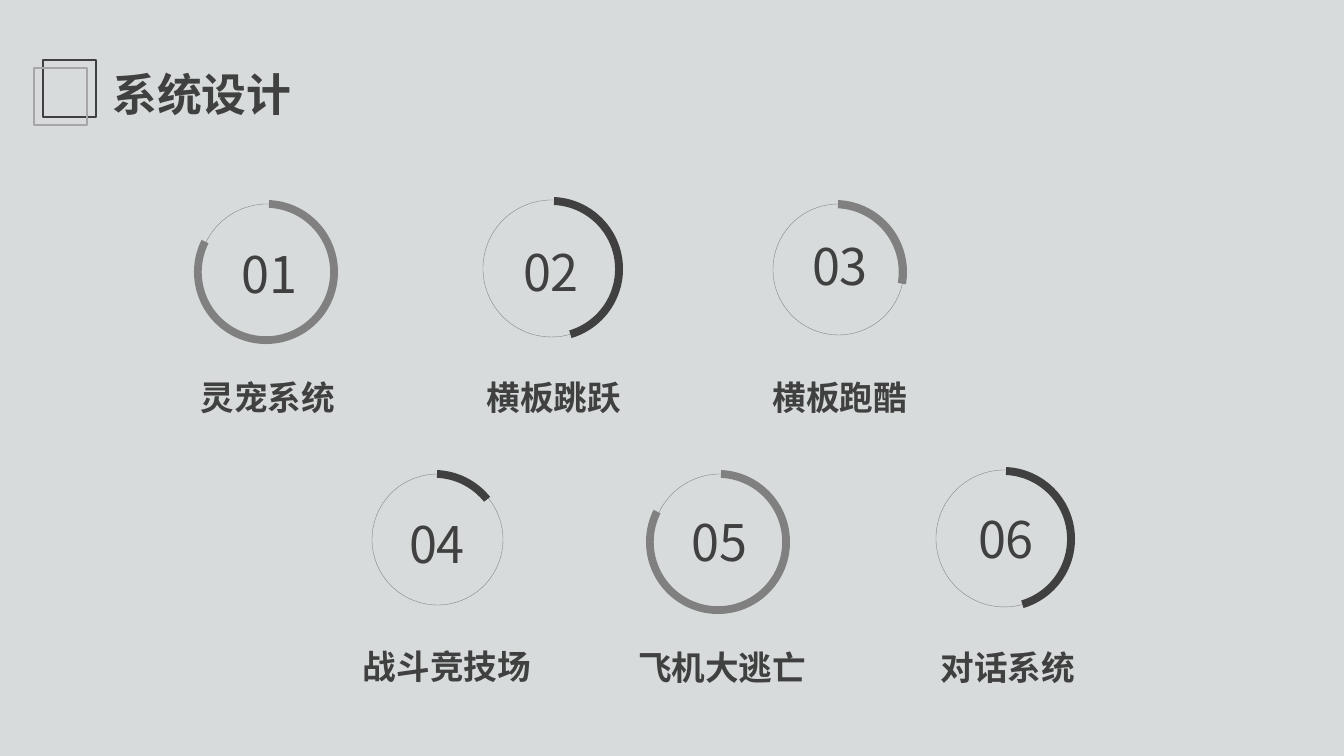
from pptx import Presentation
from pptx.dml.color import RGBColor
from pptx.enum.shapes import MSO_SHAPE
from pptx.enum.text import MSO_AUTO_SIZE, PP_ALIGN
from pptx.util import Emu, Pt

RECTANGLE = MSO_SHAPE.RECTANGLE
OVAL = MSO_SHAPE.OVAL
BLOCK_ARC = MSO_SHAPE.BLOCK_ARC
GROW = MSO_AUTO_SIZE.SHAPE_TO_FIT_TEXT
CENTER = PP_ALIGN.CENTER

SCALE = 914400 / 100.8
DARK, GRAY, LIGHT, BACKDROP = "404040", "808080", "A6A6A6", "D7DBDC"
LABEL_FONT, NUMBER_FONT = "Arial Narrow", "Noto Sans CJK SC"
ARC_SIZE, ARC_START, ARC_TURN = 144, 181.54, 330

# number, label, arc (left, top, end, thickness, colour), ring (left, top, size),
# number box (left, top, width), label box (left, top)
SYSTEMS = [
    ("01", "灵宠系统", (194, 200, 141.91, 0.054, GRAY), (199, 204, 137), (199, 238, 141), (140, 372)),
    ("02", " 横板跳跃", (479, 197, 62.08, 0.055, DARK), (483, 200, 137), (498, 236, 106), (422, 372)),
    ("03", "横板跑酷", (763, 200, 23.91, 0.057, GRAY), (773, 204, 131), (787, 230, 106), (712, 372)),
    ("04", "战斗竞技场", (362, 470, 210.72, 0.054, DARK), (372, 474, 131), (384, 508, 106), (319, 641)),
    ("05", "飞机大逃亡", (646, 470, 141.91, 0.054, GRAY), (652, 474, 137), (649, 506, 141), (594, 642)),
    ("06", " 对话系统", (931, 467, 62.08, 0.055, DARK), (936, 470, 137), (953, 503, 106), (876, 642)),
]


def px(length):
    """Turn pixels into EMU."""
    return Emu(round(length * SCALE))


def color(value):
    """Turn a hex string into a colour."""
    return RGBColor.from_string(value)


def add_figure(page, kind, left, top, width, height, fill=None, line=None, weight=1):
    """Add a preset shape with an optional fill and outline."""
    figure = page.shapes.add_shape(kind, px(left), px(top), px(width), px(height))
    figure.shadow.inherit = False
    if fill:
        figure.fill.solid()
        figure.fill.fore_color.rgb = color(fill)
    else:
        figure.fill.background()
    if line:
        figure.line.color.rgb = color(line)
        figure.line.width = Pt(weight)
    else:
        figure.line.fill.background()
    return figure


def add_text(page, text, left, top, width, height, size, font, bold=False):
    """Add a centred one-line text box."""
    box = page.shapes.add_textbox(px(left), px(top), px(width), px(height))
    frame = box.text_frame
    frame.word_wrap = True
    frame.auto_size = GROW
    para = frame.paragraphs[0]
    para.alignment = CENTER
    span = para.add_run()
    span.text = text
    span.font.size = Pt(size)
    span.font.name = font
    span.font.bold = bold
    span.font.color.rgb = color(DARK)


def add_arc(page, left, top, end, thickness, fill):
    """Add the thick progress arc of a ring."""
    arc = add_figure(page, BLOCK_ARC, left, top, ARC_SIZE, ARC_SIZE, fill=fill)
    arc.rotation = ARC_TURN
    for index, value in enumerate((ARC_START, end, thickness)):
        arc.adjustments[index] = value


def add_system(page, number, label, arc, ring, number_box, label_box):
    """Add a numbered ring with its label below."""
    left, top, size = ring
    add_figure(page, OVAL, left, top, size, size, line=GRAY, weight=0.25)
    add_text(page, number, *number_box, 72, 36, NUMBER_FONT)
    add_arc(page, *arc)
    add_text(page, label, *label_box, 256, 50, 24, LABEL_FONT, bold=True)


def main():
    """Build the slide and save it."""
    deck = Presentation()
    deck.slide_width, deck.slide_height = px(1344), px(756)
    page = deck.slides.add_slide(deck.slide_layouts[6])
    add_figure(page, RECTANGLE, 0, 0, 1344, 756, fill=BACKDROP)
    add_figure(page, RECTANGLE, 43, 60, 53, 57, line=DARK)
    add_figure(page, RECTANGLE, 34, 68, 53, 57, line=LIGHT)
    add_text(page, "系统设计", 84, 62, 236, 65, 32, LABEL_FONT, bold=True)
    for system in SYSTEMS:
        add_system(page, *system)
    deck.save("out.pptx")


main()
